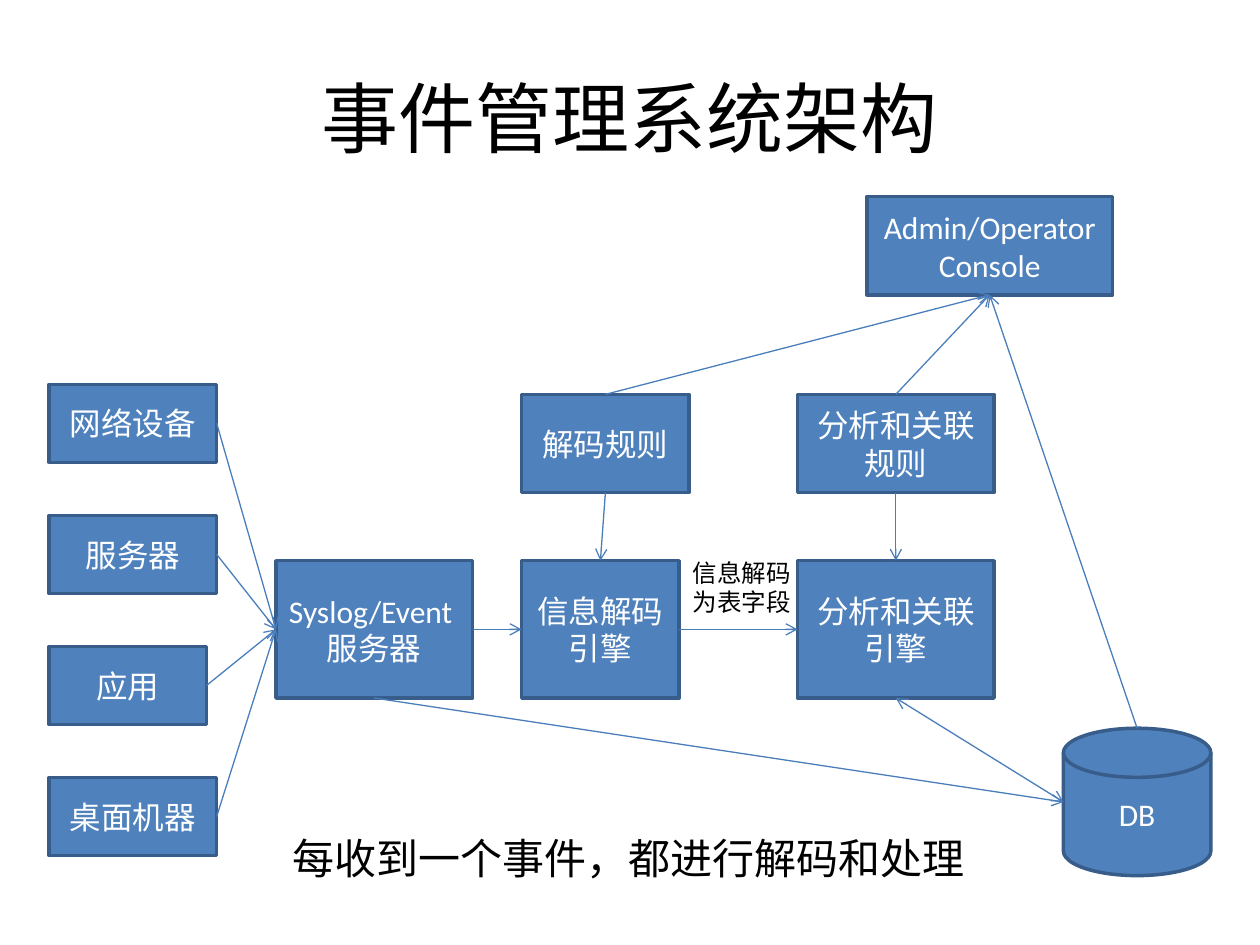
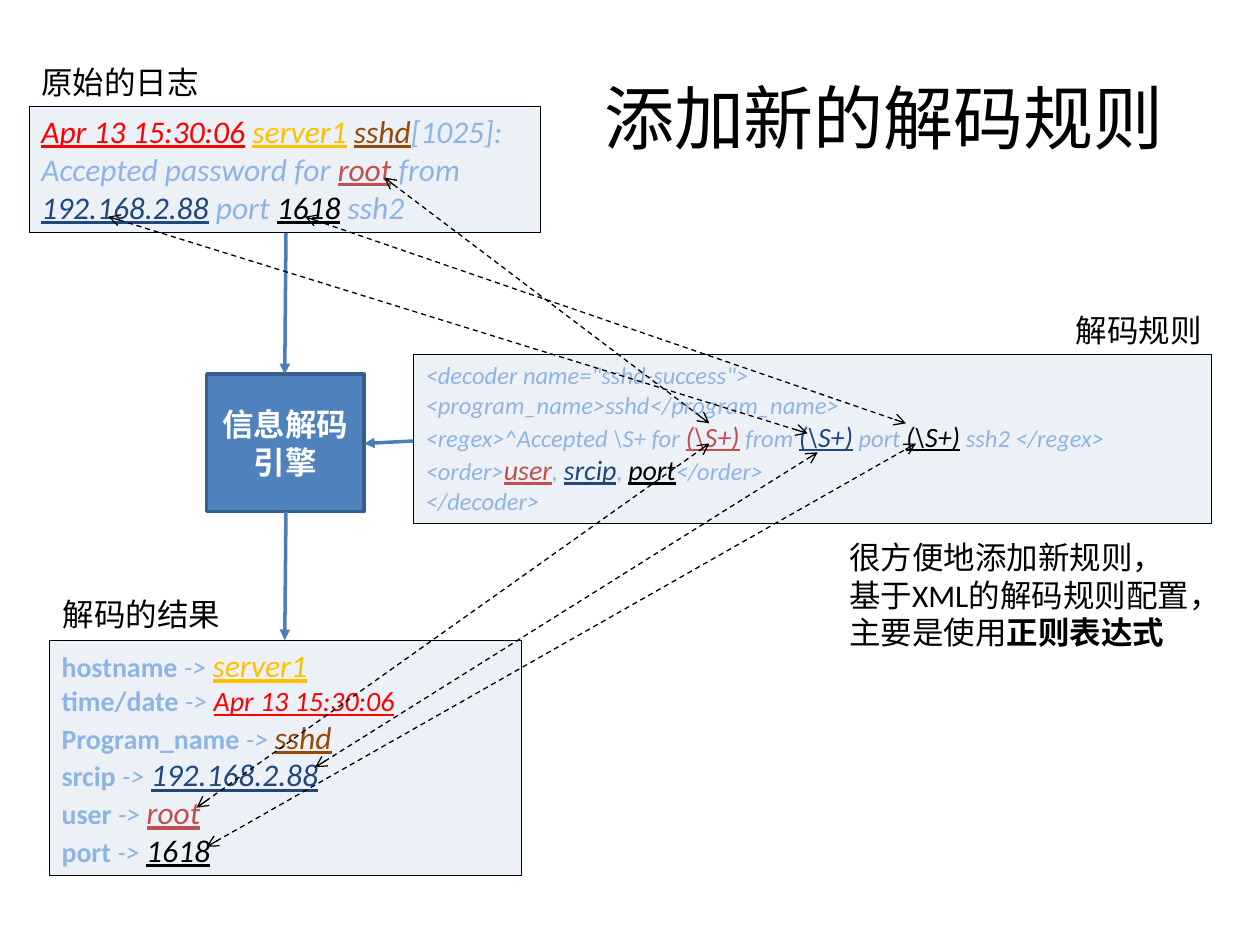
from lxml.etree import SubElement
from pptx import Presentation
from pptx.dml.color import RGBColor
from pptx.enum.dml import MSO_LINE
from pptx.enum.shapes import MSO_CONNECTOR, MSO_SHAPE
from pptx.enum.text import MSO_ANCHOR, PP_ALIGN
from pptx.oxml.ns import qn
from pptx.util import Inches, Pt

FONT = "Calibri"
BLUE, EDGE, LINK = "4F81BD", "385D8A", "4A7EBB"
BLACK, WHITE, PANEL, PALE = "000000", "FFFFFF", "DCE6F2", "8EB4E3"
RED, GOLD, BROWN, ROSE, NAVY = "FF0000", "FFC000", "984807", "C0504D", "1F497D"

SOURCES = [("net", "网络设备", 1.33), ("host", "服务器", 1.33),
           ("app", "应用", 1.25), ("desk", "桌面机器", 1.33)]
NODES = {
    "syslog": (["Syslog/Event ", "服务器"], 2.19, 4.45, 1.56, 1.09),
    "decoder": (["信息解码引擎"], 4.14, 4.45, 1.25, 1.09),
    "engine": (["分析和关联引擎"], 6.33, 4.45, 1.56, 1.09),
    "rules": (["解码规则"], 4.14, 3.13, 1.33, 0.78),
    "links": (["分析和关联规则"], 6.33, 3.13, 1.56, 0.78),
    "console": (["Admin/Operator Console"], 6.88, 1.56, 1.95, 0.78),
    "db": (["DB"], 8.44, 5.78, 1.17, 1.17),
}
FLOWS = [
    ("rules", "bottom", "decoder", "top"),
    ("syslog", "right", "decoder", "left"),
    ("decoder", "right", "engine", "left"),
    ("links", "bottom", "engine", "top"),
    ("rules", "top", "console", "bottom"),
    ("links", "top", "console", "bottom"),
    ("db", "top", "console", "bottom"),
    ("syslog", "bottom", "db", "left"),
    ("engine", "bottom", "db", "left"),
] + [(key, "right", "syslog", "left") for key, _, _ in SOURCES]
TWO_WAY = ("engine", "db")

LOG = [[
    ("Apr 13 15:30:06", RED, 18, "iu"), (" ", PALE, 18, "i"),
    ("server1", GOLD, 18, "iu"), (" ", PALE, 18, "i"),
    ("sshd", BROWN, 18, "iu"), ("[1025]: Accepted password for ", PALE, 18, "i"),
    ("root", ROSE, 18, "iu"), (" from ", PALE, 18, "i"),
    ("192.168.2.88", NAVY, 18, "iu"), (" port ", PALE, 18, "i"),
    ("1618", BLACK, 18, "iu"), (" ssh2", PALE, 18, "i"),
]]
MATCH = r"(\S+)"
RULE = [
    [('<decoder name="sshd-success">', PALE, 14, "i")],
    [("<program_name>sshd</program_name>", PALE, 14, "i")],
    [(r"<regex>^Accepted \S+ for ", PALE, 14, "i"), (MATCH, ROSE, 16, "iu"),
     (" from ", PALE, 14, "i"), (MATCH, NAVY, 16, "iu"),
     (" port ", PALE, 14, "i"), (MATCH, BLACK, 16, "iu"),
     (" ssh2 </regex>", PALE, 14, "i")],
    [("<order>", PALE, 14, "i"), ("user", ROSE, 16, "iu"),
     (", ", PALE, 14, "i"), ("srcip", NAVY, 16, "iu"),
     (", ", PALE, 14, "i"), ("port", BLACK, 16, "iu"),
     ("</order>", PALE, 14, "i")],
    [("</decoder>", PALE, 14, "i")],
]
FIELDS = [
    ("hostname", "server1", GOLD, 18), ("time/date", "Apr 13 15:30:06", RED, 16),
    ("Program_name", "sshd", BROWN, 18), ("srcip", "192.168.2.88", NAVY, 18),
    ("user", "root", ROSE, 18), ("port", "1618", BLACK, 18),
]
RESULT = [[(key, PALE, 16, "b"), (" -> ", PALE, 16, "i"), (value, hue, size, "iu")]
          for key, value, hue, size in FIELDS]
PANELS = [(LOG, 0.23, 0.84, 4.06, 1), (RULE, 3.28, 2.81, 6.33, 1.34),
          (RESULT, 0.39, 5.08, 3.75, 1.87)]
LABELS = [("原始的日志", 0.23, 0.45, 1.64, 0.4), ("解码的结果", 0.4, 4.67, 1.64, 0.4),
          ("解码规则", 8.44, 2.42, 1.2, 0.4)]
NOTE = [[("很方便地添加新规则，", BLACK, 18, "")],
        [("基于XML的解码规则配置，主要是使用", BLACK, 18, ""),
         ("正则表达式", BLACK, 18, "b")]]
STEPS = [((2.27, 1.85), (2.26, 2.97)), ((3.28, 3.5), (2.89, 3.52)),
         ((2.27, 4.06), (2.26, 5.08))]
TRACES = [
    ((3.05, 1.41), (5.63, 3.36)), ((0.86, 1.72), (6.41, 3.44)),
    ((2.42, 1.72), (7.19, 3.36)), ((1.56, 6.41), (5.63, 3.52)),
    ((2.5, 6.09), (6.49, 3.59)), ((1.64, 6.72), (7.27, 3.52)),
]
SIDES = {"top": (0, 0.5, 0), "left": (1, 0, 0.5),
         "bottom": (2, 0.5, 1), "right": (3, 1, 0.5)}


def paint(part, hue):
    part.fill.solid()
    part.fill.fore_color.rgb = RGBColor.from_string(hue)


def plain(lines, hue=BLACK, size=18, flags=""):
    return [[(line, hue, size, flags)] for line in lines]


def write(shape, paras, align=PP_ALIGN.LEFT, anchor=MSO_ANCHOR.TOP, wrap=True):
    frame = shape.text_frame
    frame.word_wrap, frame.vertical_anchor = wrap, anchor
    for i, runs in enumerate(paras):
        para = frame.paragraphs[0] if i == 0 else frame.add_paragraph()
        para.alignment = align
        for text, hue, size, flags in runs:
            run = para.add_run()
            run.text = text
            look = {"name": FONT, "size": Pt(size), "bold": "b" in flags,
                    "italic": "i" in flags, "underline": "u" in flags}
            for name, value in look.items():
                setattr(run.font, name, value)
            paint(run.font, hue)


def label(slide, paras, box, **look):
    write(slide.shapes.add_textbox(*map(Inches, box)), paras, **look)


def title(slide, text, box, size):
    label(slide, plain([text], size=size), box,
          align=PP_ALIGN.CENTER, anchor=MSO_ANCHOR.MIDDLE)


def block(slide, kind, box, fill, edge, width):
    shape = slide.shapes.add_shape(kind, *map(Inches, box))
    shape.shadow.inherit = False
    paint(shape, fill)
    paint(shape.line, edge)
    shape.line.width = Pt(width)
    return shape


def node(slide, lines, box, kind=MSO_SHAPE.RECTANGLE, flags=""):
    shape = block(slide, kind, box, BLUE, EDGE, 2)
    write(shape, plain(lines, WHITE, 18, flags), PP_ALIGN.CENTER, MSO_ANCHOR.MIDDLE)
    return shape


def panel(slide, paras, box):
    shape = block(slide, MSO_SHAPE.RECTANGLE, box, PANEL, BLACK, 0.25)
    tint = shape.fill._xPr.find(qn("a:solidFill"))[0]
    SubElement(tint, qn("a:alpha"), val="53000")
    write(shape, paras)


def arrow(slide, start, end, hue=LINK, width=0.75, tip="arrow", both=False, dash=None):
    line = slide.shapes.add_connector(MSO_CONNECTOR.STRAIGHT, *map(Inches, start + end))
    paint(line.line, hue)
    line.line.width = Pt(width)
    if dash:
        line.line.dash_style = dash
    outline = line.line._get_or_add_ln()
    for name in ["headEnd", "tailEnd"] if both else ["tailEnd"]:
        SubElement(outline, qn("a:" + name), type=tip)
    SubElement(line._element.spPr, qn("a:effectLst"))
    return line


def spot(box, side):
    x, y, w, h = box
    _, across, down = SIDES[side]
    return x + w * across, y + h * down


def system(slide):
    title(slide, "事件管理系统架构", (0.5, 0.3, 9, 1.25), 44)
    nodes = dict(NODES)
    for i, (key, text, w) in enumerate(SOURCES):
        nodes[key] = ([text], 0.39, 3.05 + 1.04 * i, w, 0.62)
    shapes = {}
    for key, (lines, *box) in nodes.items():
        kind = MSO_SHAPE.FLOWCHART_MAGNETIC_DISK if key == "db" else MSO_SHAPE.RECTANGLE
        shapes[key] = node(slide, lines, box, kind)
    for src, out, dst, into in FLOWS:
        line = arrow(slide, spot(nodes[src][1:], out), spot(nodes[dst][1:], into),
                     both=(src, dst) == TWO_WAY)
        if src != "db":
            line.begin_connect(shapes[src], SIDES[out][0])
        if dst != "db":
            line.end_connect(shapes[dst], SIDES[into][0])
    label(slide, plain(["信息解码", "为表字段"], size=14), (5.4, 4.38, 0.98, 0.57), wrap=False)
    label(slide, plain(["每收到一个事件，都进行解码和处理"], size=24),
          (2.22, 6.56, 5.53, 0.5), wrap=False)


def decoding(slide):
    for paras, *box in PANELS:
        panel(slide, paras, box)
    node(slide, ["信息解码引擎"], (1.64, 2.97, 1.25, 1.09), flags="b")
    for start, end in STEPS:
        arrow(slide, start, end, width=2, tip="triangle")
    title(slide, "添加新的解码规则", (4.53, 0.3, 4.97, 1.25), 40)
    label(slide, NOTE, (6.64, 4.22, 3.2, 1))
    for text, *box in LABELS:
        label(slide, plain([text]), box, wrap=False)
    for start, end in TRACES:
        arrow(slide, start, end, BLACK, both=True, dash=MSO_LINE.DASH)


def main():
    deck = Presentation()
    deck.slide_width, deck.slide_height = Inches(10), Inches(7.5)
    for build in (system, decoding):
        build(deck.slides.add_slide(deck.slide_layouts[6]))
    deck.save("out.pptx")


if __name__ == "__main__":
    main()
